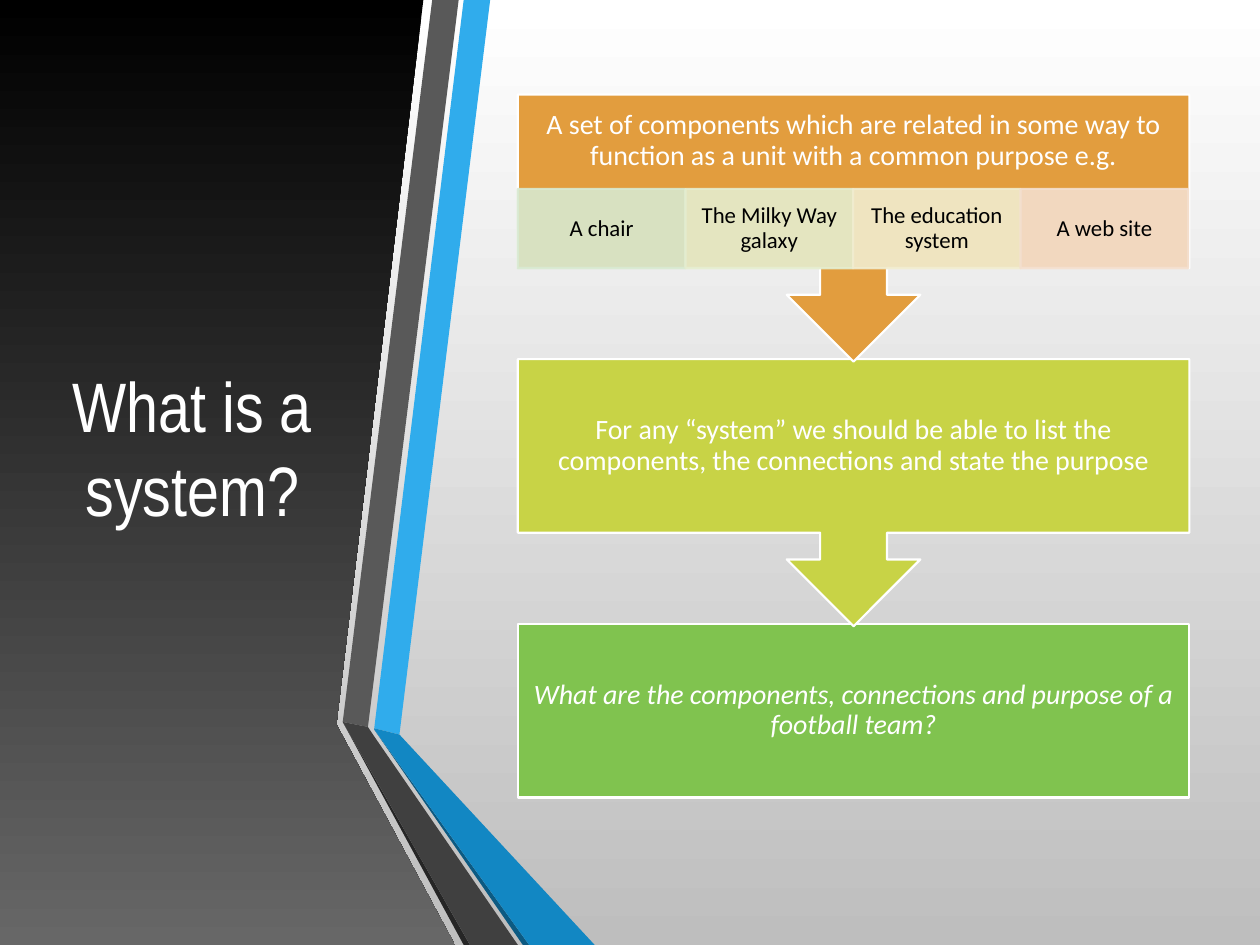
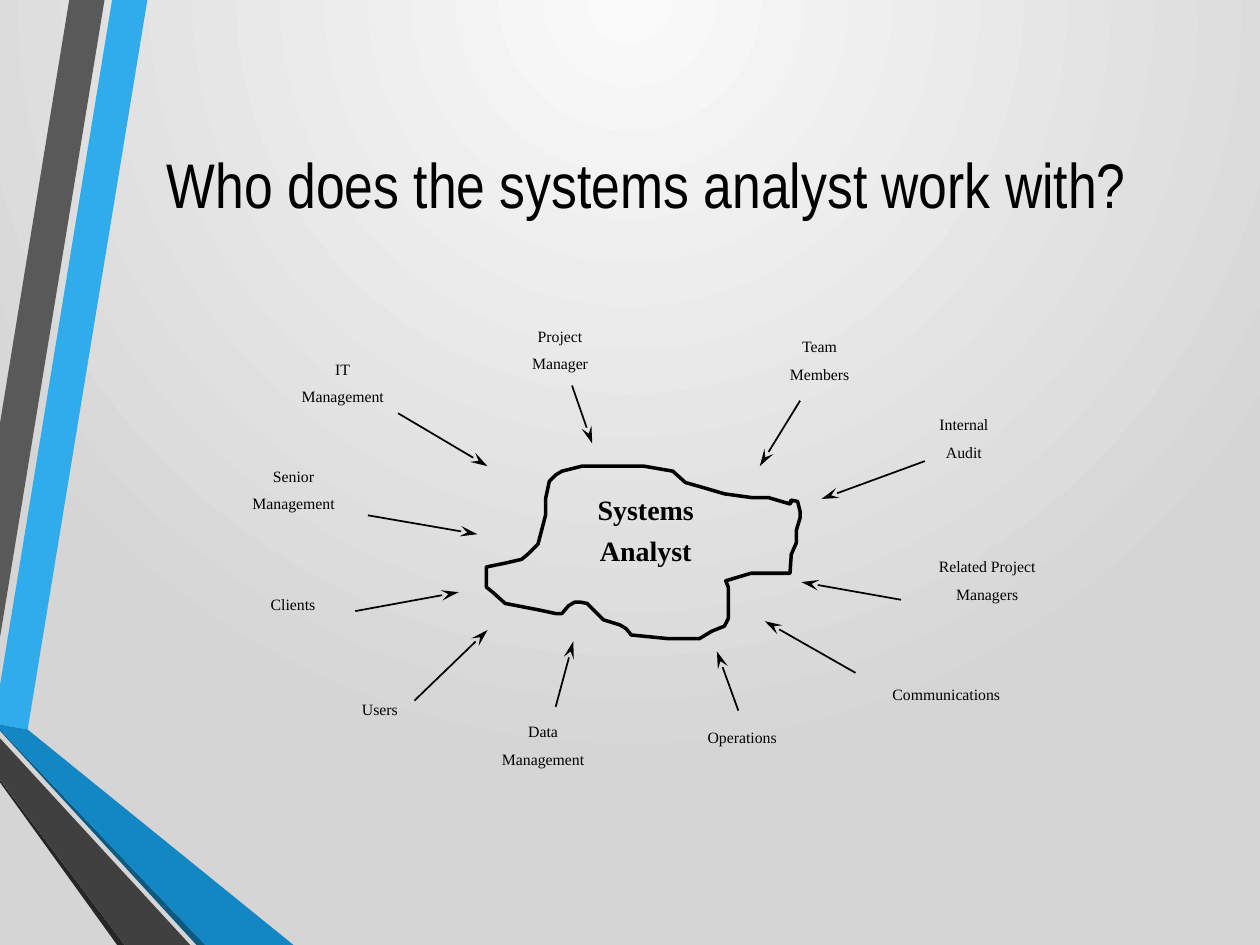
from lxml import etree
from pptx import Presentation
from pptx import util as u
from pptx.dml.color import RGBColor
from pptx.enum import shapes, text
from pptx.oxml.ns import qn

PX = 9144
WHITE = RGBColor(0xFF, 0xFF, 0xFF)
BLACK = RGBColor(0x00, 0x00, 0x00)
SILVER = RGBColor(0xBE, 0xBE, 0xBE)
SMOKE = RGBColor(0x67, 0x67, 0x67)
PEARL = RGBColor(0xFA, 0xFA, 0xFA)
MIST = RGBColor(0xD5, 0xD5, 0xD5)
SKY = RGBColor(0x30, 0xAC, 0xEC)
BLUE = RGBColor(0x12, 0x87, 0xC3)
NAVY = RGBColor(0x0C, 0x5A, 0x82)
GRAY = RGBColor(0x59, 0x59, 0x59)
SLATE = RGBColor(0x40, 0x40, 0x40)
COAL = RGBColor(0x26, 0x26, 0x26)
ORANGE = RGBColor(0xE2, 0x9D, 0x3E)
LIME = RGBColor(0xC8, 0xD3, 0x46)
GREEN = RGBColor(0x80, 0xC3, 0x4F)
BANDS = [SKY, GRAY, COAL, NAVY, BLUE, SLATE]


def write(shape, words, size, font, color=BLACK, bold=False, italic=False,
          pads=(10, 5, 10, 5), wrap=True, middle=True, lead=0.9, after=0):
    frame = shape.text_frame
    frame.text = words
    frame.auto_size = text.MSO_AUTO_SIZE.NONE
    frame.word_wrap = wrap
    frame.vertical_anchor = text.MSO_ANCHOR.MIDDLE if middle else text.MSO_ANCHOR.TOP
    frame.margin_left, frame.margin_top, frame.margin_right, frame.margin_bottom = [
        pad * PX for pad in pads]
    for line in frame.paragraphs:
        line.alignment = text.PP_ALIGN.CENTER
        line.line_spacing = lead
        line.space_before = u.Pt(0)
        line.space_after = u.Pt(after)
        line.font.size = u.Pt(size)
        line.font.name = font
        line.font.bold = bold
        line.font.italic = italic
        line.font.color.rgb = color


def draw(slide, points, color=None, close=True):
    pen = slide.shapes.build_freeform(*points[0], scale=PX)
    pen.add_line_segments(points[1:], close=close)
    form = pen.convert_to_shape()
    form.shadow.inherit = False
    form.line.fill.background()
    form.fill.background()
    if color is not None:
        form.fill.solid()
        form.fill.fore_color.rgb = color
    return form


deck = Presentation()
deck.slide_width, deck.slide_height = 1000 * PX, 750 * PX

pages = [
    dict(title="What is a system?", size=40, color=WHITE, box=(44, 75, 217, 558),
         tones=(WHITE, SILVER),
         bands=[
             [(297, 578), (317, 583), (389, 0), (368, 0)],
             [(364, 0), (343, 0), (272, 573), (292, 577)],
             [(272, 573), (368, 750), (373, 750)],
             [(297, 579), (415, 750), (420, 750)],
             [(297, 579), (420, 750), (472, 750), (317, 583), (297, 578)],
             [(411, 750), (296, 583), (292, 577), (272, 573), (373, 750)]]),
    dict(title="Who does the systems analyst work with?", size=36, color=BLACK,
         box=(119, 88, 788, 115), tones=(PEARL, MIST),
         bands=[
             [(0, 544), (0, 575), (22, 579), (117, 0), (89, 0)],
             [(83, 0), (55, 0), (0, 336), (0, 506)],
             [(0, 619), (0, 621), (93, 750), (99, 750)],
             [(0, 579), (0, 580), (156, 750), (163, 750)],
             [(0, 579), (163, 750), (233, 750), (22, 579), (0, 575)],
             [(0, 619), (99, 750), (151, 750), (0, 586)]]),
]

slides = []
for page in pages:
    slide = deck.slides.add_slide(deck.slide_layouts[5])
    slides.append(slide)
    back = slide.background.fill
    back.gradient()
    back.gradient_angle = 270
    for stop, tone in zip(back.gradient_stops, page["tones"]):
        stop.color.rgb = tone
    for points, color in zip(page["bands"], BANDS):
        draw(slide, points, color)
    title = slide.shapes.title
    title.left, title.top, title.width, title.height = [n * PX for n in page["box"]]
    write(title, page["title"], page["size"], "Arial Narrow", page["color"], lead=1.0)

first, second = slides

panel = draw(first, [(0, 0), (336, 0), (267, 575), (361, 750), (0, 750)])
panel.fill.gradient()
panel.fill.gradient_angle = 270
for stop, tone in zip(panel.fill.gradient_stops, (BLACK, SMOKE)):
    stop.color.rgb = tone
first.shapes.title.element.addprevious(panel.element)

CALL = shapes.MSO_SHAPE.DOWN_ARROW_CALLOUT
RECT = shapes.MSO_SHAPE.RECTANGLE
steps = [
    (RECT, 495, 138, GREEN, 12, True,
     "What are the components, connections and purpose of a football team?"),
    (CALL, 285, 212, LIME, 12, False,
     "For any “system” we should be able to list the components, "
     "the connections and state the purpose"),
    (CALL, 75, 212, ORANGE, 76, False,
     "A set of components which are related in some way to function "
     "as a unit with a common purpose e.g."),
]
for kind, top, high, color, foot, slant, words in steps:
    step = first.shapes.add_shape(kind, 411 * PX, top * PX, 533 * PX, high * PX)
    step.shadow.inherit = False
    step.fill.solid()
    step.fill.fore_color.rgb = color
    step.line.color.rgb = WHITE
    step.line.width = u.Pt(1.25)
    write(step, words, 16, "Calibri", WHITE, italic=slant, pads=(12, 12, 12, foot))

cells = [
    ("A chair", RGBColor(0xD8, 0xE9, 0xD0)),
    ("The Milky Way galaxy", RGBColor(0xE5, 0xED, 0xCF)),
    ("The education system", RGBColor(0xF1, 0xEC, 0xCF)),
    ("A web site", RGBColor(0xF4, 0xDF, 0xCE)),
]
for i, (words, color) in enumerate(cells):
    cell = first.shapes.add_shape(RECT, (411 + 133 * i) * PX, 150 * PX, 133 * PX, 63 * PX)
    cell.shadow.inherit = False
    cell.fill.solid()
    cell.fill.fore_color.rgb = color
    cell.line.color.rgb = color
    cell.line.width = u.Pt(1.25)
    for tint in cell.element.iter(qn("a:srgbClr")):
        etree.SubElement(tint, qn("a:alpha"), val="90000")
    write(cell, words, 13, "Calibri", pads=(10, 2, 10, 2))

slant = second.element.find(".//" + qn("a:lin"))
glow = etree.Element(qn("a:path"), path="circle")
etree.SubElement(glow, qn("a:fillToRect"), l="43000", t="0", r="43000", b="100000")
slant.getparent().replace(slant, glow)

cloud = draw(second, [
    (629, 397), (627, 400), (610, 395), (597, 395), (575, 392), (558, 387),
    (544, 383), (534, 374), (511, 370), (462, 370), (446, 374), (441, 377),
    (436, 382), (433, 396), (433, 409), (427, 432), (420, 439), (414, 444),
    (401, 447), (386, 450), (386, 466), (391, 470), (401, 479), (427, 484),
    (441, 487), (446, 487), (451, 481), (456, 478), (461, 478), (466, 479),
    (479, 492), (492, 496), (497, 499), (501, 504), (531, 507), (555, 507),
    (565, 501), (575, 497), (578, 491), (578, 466), (576, 461), (596, 455),
    (627, 455), (628, 440), (632, 431), (632, 421), (635, 411), (635, 406),
    (633, 398), (628, 397), (627, 399)], close=False)
cloud.line.color.rgb = BLACK
cloud.line.width = u.Pt(2)

labels = [
    ("Systems\nAnalyst", 460, 389, 105, 70),
    ("Project\nManager", 406, 256, 77, 50),
    ("Internal\nAudit", 730, 326, 70, 50),
    ("Team\nMembers", 610, 264, 81, 50),
    ("Senior\nManagement", 180, 367, 106, 50),
    ("IT\nManagement", 219, 282, 106, 50),
    ("Related Project\nManagers", 720, 439, 127, 50),
    ("Communications", 684, 540, 134, 29),
    ("Operations", 543, 574, 92, 29),
    ("Data\nManagement", 378, 570, 106, 50),
    ("Clients", 200, 469, 65, 29),
    ("Users", 274, 552, 55, 29),
]
for i, (words, *box) in enumerate(labels):
    label = second.shapes.add_textbox(*[n * PX for n in box])
    write(label, words, 9 if i else 16, "Times New Roman", bold=not i,
          wrap=False, middle=False, after=6)

arrows = [
    (316, 328, 387, 370), (454, 306, 470, 352), (635, 318, 603, 370),
    (734, 366, 652, 396), (715, 476, 636, 462), (292, 409, 379, 424),
    (282, 485, 364, 470), (329, 556, 387, 500), (441, 561, 455, 509),
    (586, 564, 569, 517), (679, 534, 607, 493),
]
for ends in arrows:
    arrow = second.shapes.add_connector(
        shapes.MSO_CONNECTOR.STRAIGHT, *[n * PX for n in ends])
    arrow.line.color.rgb = BLACK
    arrow.line.width = u.Pt(1)
    etree.SubElement(arrow.line._get_or_add_ln(), qn("a:tailEnd"), type="stealth",
                     w="med", len="lg")
    etree.SubElement(arrow.element.spPr, qn("a:effectLst"))

deck.save("out.pptx")
